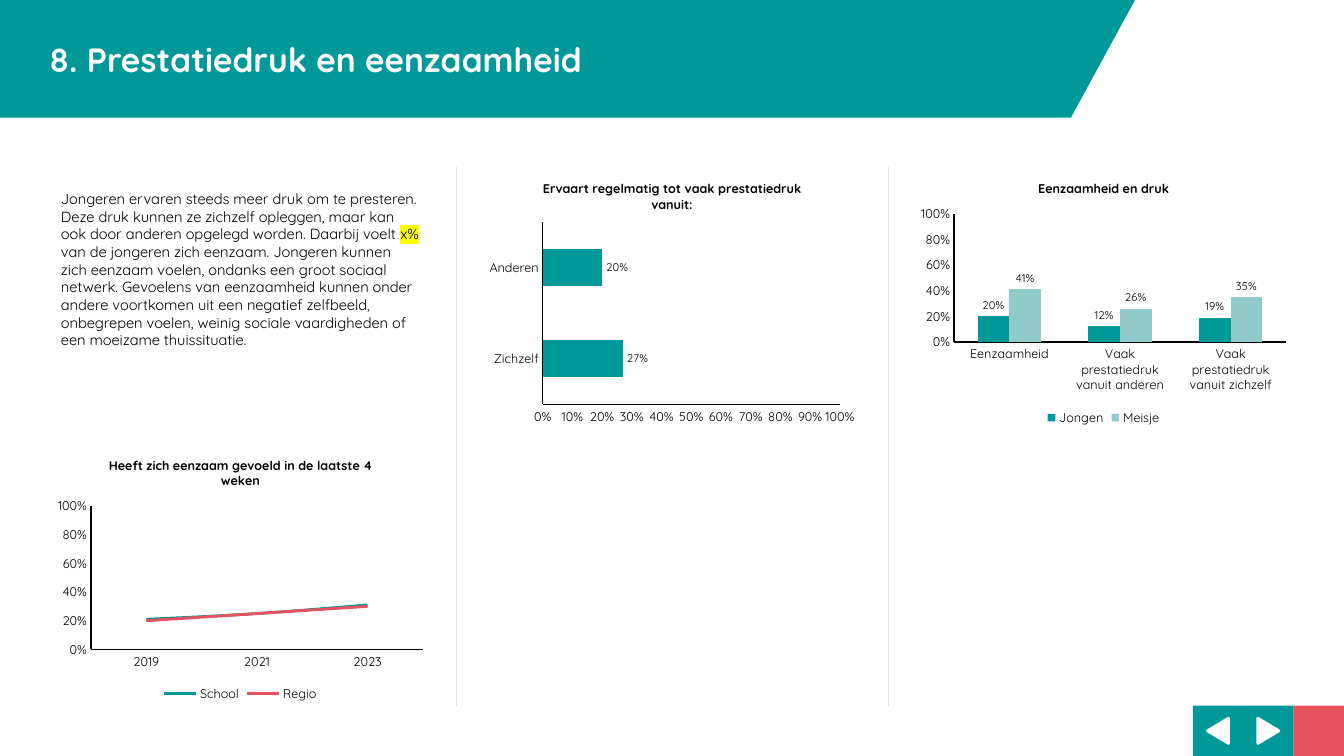
from dataclasses import dataclass

from lxml import etree
from pptx import Presentation
from pptx.chart.data import CategoryChartData
from pptx.dml.color import RGBColor
from pptx.enum.chart import XL_CHART_TYPE, XL_LABEL_POSITION, XL_LEGEND_POSITION, XL_TICK_MARK
from pptx.enum.shapes import MSO_CONNECTOR, MSO_SHAPE
from pptx.enum.text import MSO_ANCHOR, MSO_AUTO_SIZE, PP_ALIGN
from pptx.oxml.ns import qn
from pptx.util import Emu, Pt

LINE = XL_CHART_TYPE.LINE
BAR = XL_CHART_TYPE.BAR_CLUSTERED
COLUMN = XL_CHART_TYPE.COLUMN_CLUSTERED
OUTSIDE_END = XL_LABEL_POSITION.OUTSIDE_END
LEGEND_BOTTOM = XL_LEGEND_POSITION.BOTTOM
NO_TICK = XL_TICK_MARK.NONE
STRAIGHT = MSO_CONNECTOR.STRAIGHT
RECTANGLE = MSO_SHAPE.RECTANGLE
TRIANGLE = MSO_SHAPE.ISOSCELES_TRIANGLE
RIGHT_TRIANGLE = MSO_SHAPE.RIGHT_TRIANGLE
TOP, MIDDLE = MSO_ANCHOR.TOP, MSO_ANCHOR.MIDDLE
LEFT = PP_ALIGN.LEFT
NO_AUTOFIT = MSO_AUTO_SIZE.NONE


@dataclass(frozen=True)
class Theme:
    font: str = "Quicksand"
    teal: str = "009898"
    mint: str = "91CACA"
    red: str = "E8525F"
    white: str = "FFFFFF"
    black: str = "000000"
    divider: str = "E3E3E3"
    marker: str = "FFFF00"
    heading: float = 24
    body: float = 10.5
    chart: float = 9
    label: float = 8


THEME = Theme()

# Page grid in px (96 to the inch)
PAGE_WIDTH, PAGE_HEIGHT = 1280, 720
HEADER_WIDTH, HEADER_HEIGHT, HEADER_SLANT = 1020, 112, 61
MARGIN, COLUMN_WIDTH, GAP = 48, 362, 49
CONTENT_TOP, CONTENT_BOTTOM = 159, 672
CHART_HEIGHT = 250
BUTTON = 48
COLUMNS = [MARGIN + index * (COLUMN_WIDTH + GAP) for index in range(3)]


def px(length):
    return Emu(int(length * 9525))


def rgb(color):
    return RGBColor.from_string(color)


def format_font(font, size, color=THEME.black, bold=False):
    font.size = Pt(size)
    font.bold = bold
    font.color.rgb = rgb(color)
    font.name = THEME.font


def add_text(paragraph, text, size=THEME.body, highlight=None, **style):
    run = paragraph.add_run()
    run.text = text
    format_font(run.font, size, **style)
    if highlight:
        mark = etree.Element(qn("a:highlight"))
        etree.SubElement(mark, qn("a:srgbClr"), val=highlight)
        run.font._element.find(qn("a:latin")).addprevious(mark)


def add_block(slide, kind, box, color, outline=None, rotation=0):
    shape = slide.shapes.add_shape(kind, *map(px, box))
    shape.shadow.inherit = False
    shape.rotation = rotation
    shape.fill.solid()
    shape.fill.fore_color.rgb = rgb(color)
    if outline:
        shape.line.color.rgb = rgb(outline)
        shape.line.width = Pt(2)
    else:
        shape.line.fill.background()
    return shape


def place_placeholder(placeholder, box, anchor, inset_left, inset_top):
    placeholder.left, placeholder.top, placeholder.width, placeholder.height = map(px, box)
    frame = placeholder.text_frame
    frame.word_wrap = True
    frame.auto_size = NO_AUTOFIT
    frame.vertical_anchor = anchor
    frame.margin_left, frame.margin_top = px(inset_left), px(inset_top)
    paragraph = frame.paragraphs[0]
    paragraph.alignment = LEFT
    paragraph.space_before = Pt(0)
    return paragraph


def add_header(slide, box, text):
    left, top, width, height = box
    title = slide.shapes.title
    paragraph = place_placeholder(title, box, MIDDLE, 47, 5)
    title.fill.solid()
    title.fill.fore_color.rgb = rgb(THEME.teal)
    add_text(paragraph, text, size=THEME.heading, color=THEME.white, bold=True)
    # Slanted end of the band
    slant = add_block(slide, RIGHT_TRIANGLE, (left + width, top, HEADER_SLANT, height),
                      THEME.teal, rotation=180)
    slant._element.spPr.find(qn("a:xfrm")).set("flipH", "1")


def add_introduction(slide, box, parts):
    paragraph = place_placeholder(slide.placeholders[1], box, TOP, 10, 22)
    properties = paragraph._p.get_or_add_pPr()
    properties.set("marL", "0")
    properties.set("indent", "0")
    etree.SubElement(properties, qn("a:buNone"))
    for text, highlight in parts:
        add_text(paragraph, text, highlight=highlight)


def add_dividers(slide, top, bottom):
    for left in COLUMNS[:-1]:
        middle = px(left + COLUMN_WIDTH + (GAP + 1) // 2)
        divider = slide.shapes.add_connector(STRAIGHT, middle, px(bottom), middle, px(top))
        divider.line.color.rgb = rgb(THEME.divider)
        divider.line.width = Pt(1)
        etree.SubElement(divider._element.spPr, qn("a:effectLst"))


def add_navigation(slide, left, top):
    buttons = [(THEME.teal, 270), (THEME.teal, 90), (THEME.red, None)]
    for index, (color, arrow_rotation) in enumerate(buttons):
        button_left = left + index * BUTTON
        add_block(slide, RECTANGLE, (button_left, top, BUTTON, BUTTON), color)
        if arrow_rotation is not None:
            add_block(slide, TRIANGLE, (button_left + 12, top + 14, 24, 20),
                      THEME.white, outline=THEME.white, rotation=arrow_rotation)


def add_chart(slide, box, kind, title, categories, series_list):
    data = CategoryChartData(number_format="0%")
    data.categories = categories
    for name, values, _ in series_list:
        data.add_series(name, values)
    chart = slide.shapes.add_chart(kind, *map(px, box), data).chart
    format_font(chart.font, THEME.chart)
    add_text(chart.chart_title.text_frame.paragraphs[0], title, size=THEME.chart, bold=True)

    # Axes
    for axis in (chart.category_axis, chart.value_axis):
        axis.has_major_gridlines = False
        axis.major_tick_mark = axis.minor_tick_mark = NO_TICK
        axis.format.line.color.rgb = rgb(THEME.black)
        axis.format.line.width = Pt(1)
        format_font(axis.tick_labels.font, THEME.chart)
    value_axis = chart.value_axis
    value_axis.minimum_scale, value_axis.maximum_scale = 0, 1
    value_axis.tick_labels.number_format = "0%"
    value_axis.tick_labels.number_format_is_linked = False

    # Legend
    chart.has_legend = len(series_list) > 1
    if chart.has_legend:
        chart.legend.position = LEGEND_BOTTOM
        chart.legend.include_in_layout = False
        format_font(chart.legend.font, THEME.chart)

    # Series and their labels
    plot = chart.plots[0]
    plot.vary_by_categories = False
    if kind != LINE:
        plot.gap_width = 150
    for series, (_, _, color) in zip(plot.series, series_list):
        if kind == LINE:
            series.smooth = True
            series.format.line.color.rgb = rgb(color)
            series.format.line.width = Pt(2)
            continue
        series.format.fill.solid()
        series.format.fill.fore_color.rgb = rgb(color)
        labels = series.data_labels
        labels.show_value = True
        labels.position = OUTSIDE_END
        labels.number_format = "0%"
        labels.number_format_is_linked = False
        format_font(labels.font, THEME.label)


def build_slide(presentation):
    slide = presentation.slides.add_slide(presentation.slide_layouts[1])
    add_navigation(slide, PAGE_WIDTH - 3 * BUTTON, PAGE_HEIGHT - BUTTON)
    add_dividers(slide, CONTENT_TOP, CONTENT_BOTTOM)
    add_header(slide, (0, 0, HEADER_WIDTH, HEADER_HEIGHT), "8. Prestatiedruk en eenzaamheid")
    add_introduction(slide, (COLUMNS[0], CONTENT_TOP, COLUMN_WIDTH, 247), [
        ("Jongeren ervaren steeds meer druk om te presteren. Deze druk kunnen ze zichzelf opleggen, "
         "maar kan ook door anderen opgelegd worden. Daarbij voelt ", None),
        ("x%", THEME.marker),
        (" van de jongeren zich eenzaam. Jongeren kunnen zich eenzaam voelen, ondanks een groot "
         "sociaal netwerk. Gevoelens van eenzaamheid kunnen onder andere voortkomen uit een negatief "
         "zelfbeeld, onbegrepen voelen, weinig sociale vaardigheden of een moeizame thuissituatie.", None),
    ])
    charts = [
        (CONTENT_BOTTOM - CHART_HEIGHT, LINE, "Heeft zich eenzaam gevoeld in de laatste 4 weken",
         ["2019", "2021", "2023"],
         [("School", (0.21, 0.25, 0.31), THEME.teal), ("Regio", (0.2, 0.25, 0.3), THEME.red)]),
        (CONTENT_TOP, BAR, "Ervaart regelmatig tot vaak prestatiedruk vanuit:",
         ["Zichzelf", "Anderen"], [("Series 1", (0.27, 0.2), THEME.teal)]),
        (CONTENT_TOP, COLUMN, "Eenzaamheid en druk",
         ["Eenzaamheid", "Vaak prestatiedruk vanuit anderen", "Vaak prestatiedruk vanuit zichzelf"],
         [("Jongen", (0.2, 0.12, 0.19), THEME.teal), ("Meisje", (0.41, 0.26, 0.35), THEME.mint)]),
    ]
    for left, (top, *content) in zip(COLUMNS, charts):
        add_chart(slide, (left, top, COLUMN_WIDTH, CHART_HEIGHT), *content)


def main():
    presentation = Presentation()
    presentation.slide_width, presentation.slide_height = px(PAGE_WIDTH), px(PAGE_HEIGHT)
    build_slide(presentation)
    presentation.save("out.pptx")


if __name__ == "__main__":
    main()
